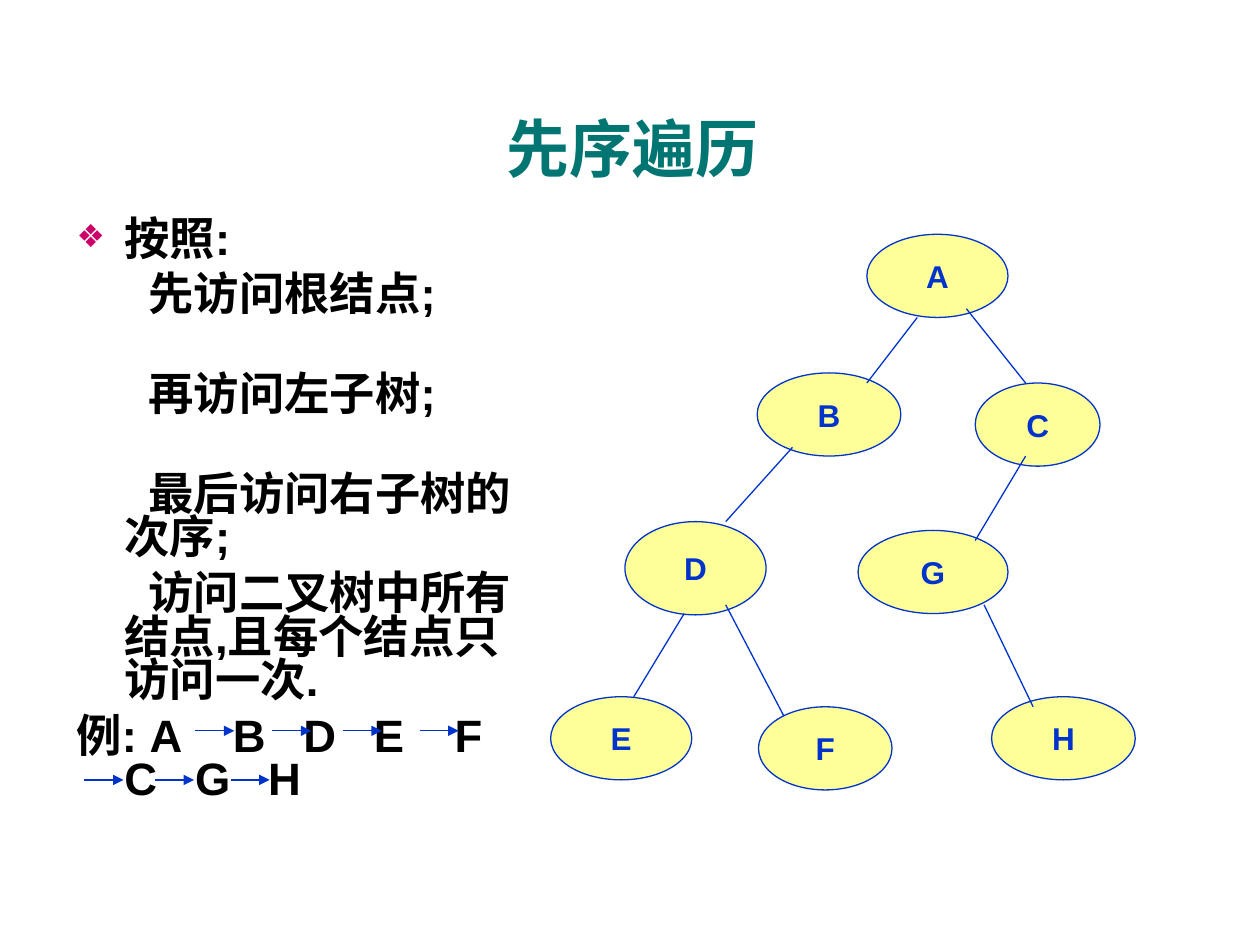
from lxml.etree import SubElement
from pptx import Presentation
from pptx.dml.color import RGBColor
from pptx.enum.shapes import MSO_CONNECTOR as CONNECTOR, MSO_SHAPE as SHAPE
from pptx.enum.text import MSO_ANCHOR as ANCHOR, PP_ALIGN as ALIGN
from pptx.oxml.ns import qn
from pptx.util import Inches, Pt

COLORS = {"title": "007572", "body": "000000", "bullet": "CC0066",
          "node": "FFFF99", "line": "0033CC"}

NODES = [
    ("A", 6.88, 1.86, 1.12, 0.66),
    ("B", 6.01, 2.96, 1.14, 0.66),
    ("C", 7.74, 3.04, 0.99, 0.66),
    ("D", 4.96, 4.14, 1.12, 0.74),
    ("G", 6.81, 4.21, 1.19, 0.66),
    ("E", 4.37, 5.53, 1.12, 0.66),
    ("F", 6.02, 5.61, 1.06, 0.66),
    ("H", 7.87, 5.53, 1.14, 0.66),
]
EDGES = [
    (7.28, 2.52, 6.88, 3.04),
    (7.67, 2.45, 8.14, 3.04),
    (6.29, 3.55, 5.76, 4.14),
    (8.14, 3.62, 7.74, 4.29),
    (5.43, 4.87, 5.03, 5.53),
    (5.76, 4.80, 6.22, 5.68),
    (7.81, 4.80, 8.20, 5.61),
]
ARROW_ROWS = {5.8: (1.55, 2.16, 2.72, 3.33), 6.19: (0.67, 1.23, 1.83)}
ARROW_LENGTH = 0.31

BODY_SIZE = 25.9
SPACE_WIDTH = 7.2
HANGING = -0.38
FIRST_LINE = 0.19
BODY = [
    ("按照:", HANGING, 0),
    ("先访问根结点;", FIRST_LINE, 7),
    ("再访问左子树;", FIRST_LINE, 32),
    ("最后访问右子树的次序;", FIRST_LINE, 32),
    ("访问二叉树中所有结点,且每个结点只访问一次.", FIRST_LINE, 7),
]
VISIT_ROWS = [
    [("例: A", 4), ("B", 3), ("D", 3), ("E", 4), ("F", 0)],
    [("C", 3), ("G", 3), ("H", 0)],
]


def rgb(name):
    return RGBColor.from_string(COLORS[name])


def add_run(p, text, size, color):
    r = p.add_run()
    r.text = text
    for name, value in {"name": "Arial", "size": Pt(size), "bold": True}.items():
        setattr(r.font, name, value)
    r.font.color.rgb = rgb(color)
    return r


def add_textbox(slide, x, y, w, h, anchor):
    sp = slide.shapes.add_textbox(Inches(x), Inches(y), Inches(w), Inches(h))
    tf = sp.text_frame
    tf.word_wrap = True
    tf.vertical_anchor = anchor
    return tf


def add_title(slide, text):
    p = add_textbox(slide, 0.35, 0.84, 9.34, 0.66, ANCHOR.MIDDLE).paragraphs[0]
    p.alignment = ALIGN.CENTER
    add_run(p, text, 36, "title")


def add_bullet(p):
    pPr = p._p.get_or_add_pPr()
    SubElement(SubElement(pPr, qn("a:buClr")), qn("a:srgbClr"), val=COLORS["bullet"])
    SubElement(pPr, qn("a:buSzPct"), val="70000")
    SubElement(pPr, qn("a:buFont"), typeface="Arial")
    SubElement(pPr, qn("a:buChar"), char="❖")


def format_paragraph(p, indent, before):
    p.line_spacing = 0.8
    p.space_before = Pt(before)
    pPr = p._p.get_or_add_pPr()
    pPr.set("marL", str(Inches(0.38)))
    pPr.set("indent", str(Inches(indent)))


def add_gap(p, spaces):
    r = add_run(p, " ", BODY_SIZE, "body")
    extra = round((spaces - 1) * SPACE_WIDTH * 100)
    r._r.get_or_add_rPr().set("spc", str(extra))


def add_visit_order(p):
    format_paragraph(p, HANGING, 7)
    for i, row in enumerate(VISIT_ROWS):
        if i:
            p.add_line_break()
        for text, spaces in row:
            add_run(p, text, BODY_SIZE, "body")
            if spaces:
                add_gap(p, spaces)


def add_body(slide):
    tf = add_textbox(slide, 0.51, 1.7, 3.86, 4.97, ANCHOR.TOP)
    for i, (text, indent, before) in enumerate(BODY):
        p = tf.add_paragraph() if i else tf.paragraphs[0]
        format_paragraph(p, indent, before)
        if i == 0:
            add_bullet(p)
        add_run(p, text, BODY_SIZE, "body")
    add_visit_order(tf.add_paragraph())


def style_line(line):
    line.color.rgb = rgb("line")
    line.width = Pt(0.75)


def add_node(slide, label, x, y, w, h):
    sp = slide.shapes.add_shape(SHAPE.OVAL, Inches(x), Inches(y), Inches(w), Inches(h))
    sp.shadow.inherit = False
    sp.fill.solid()
    sp.fill.fore_color.rgb = rgb("node")
    style_line(sp.line)
    tf = sp.text_frame
    tf.word_wrap = False
    tf.vertical_anchor = ANCHOR.MIDDLE
    p = tf.paragraphs[0]
    p.alignment = ALIGN.CENTER
    add_run(p, label, 18, "line")


def add_line(slide, x1, y1, x2, y2, arrow=False):
    cxn = slide.shapes.add_connector(
        CONNECTOR.STRAIGHT, Inches(x1), Inches(y1), Inches(x2), Inches(y2))
    style_line(cxn.line)
    if arrow:
        SubElement(cxn.line._get_or_add_ln(), qn("a:tailEnd"), type="triangle")
    SubElement(cxn._element.spPr, qn("a:effectLst"))


def main():
    prs = Presentation()
    prs.slide_width = Inches(10)
    prs.slide_height = Inches(7.5)
    slide = prs.slides.add_slide(prs.slide_layouts[6])
    add_title(slide, "先序遍历")
    add_body(slide)
    for node in NODES:
        add_node(slide, *node)
    for edge in EDGES:
        add_line(slide, *edge)
    for y, starts in ARROW_ROWS.items():
        for x in starts:
            add_line(slide, x, y, x + ARROW_LENGTH, y, arrow=True)
    prs.save("out.pptx")


if __name__ == "__main__":
    main()
